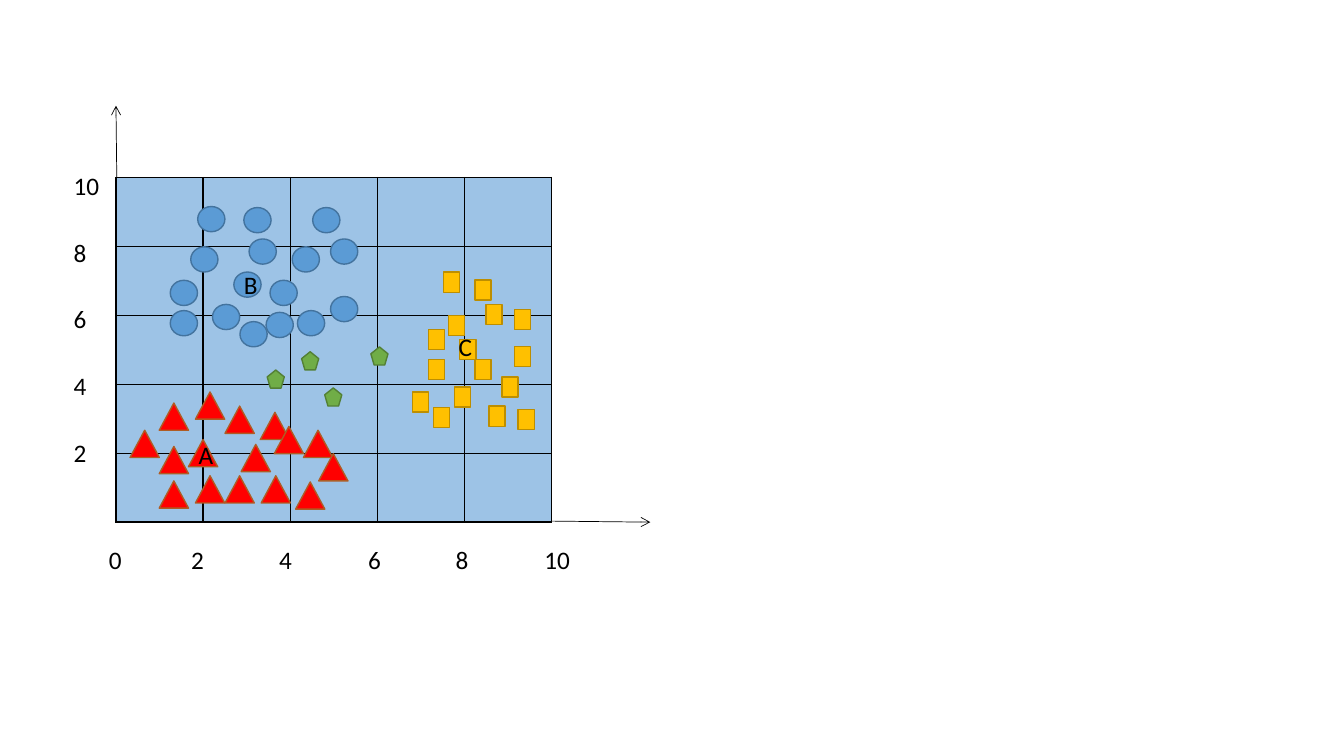
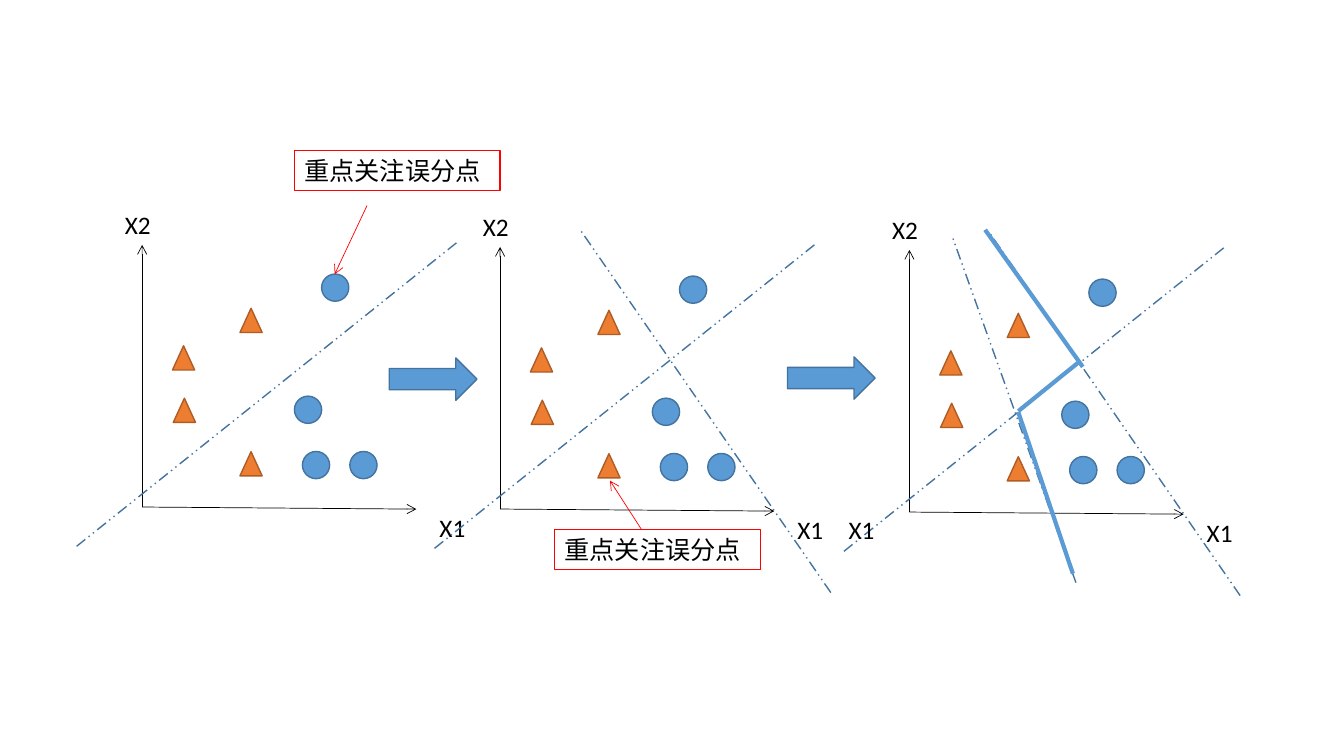
from dataclasses import dataclass

from lxml import etree
from pptx import Presentation
from pptx.dml.color import RGBColor
from pptx.enum.dml import MSO_LINE
from pptx.enum.shapes import MSO_CONNECTOR, MSO_SHAPE
from pptx.enum.text import MSO_ANCHOR, PP_ALIGN
from pptx.oxml.ns import qn
from pptx.util import Inches, Pt

STRAIGHT = MSO_CONNECTOR.STRAIGHT
DASHED = MSO_LINE.DASH_DOT_DOT
TOP = MSO_ANCHOR.TOP
LEFT = PP_ALIGN.LEFT
FONT = "Calibri"
COLORS = {
    "black": "000000", "grid": "9DC3E6", "red": "FF0000",
    "blue": "5B9BD5", "blue_edge": "43739E",
    "orange": "ED7D31", "orange_edge": "AF5C24",
    "gold": "FFC000", "gold_edge": "BD8E00",
    "green": "70AD47", "green_edge": "538035",
}
MARKERS = {
    "circle": (MSO_SHAPE.OVAL, 0.27, 0.25, "blue", "blue_edge"),
    "red triangle": (MSO_SHAPE.ISOSCELES_TRIANGLE, 0.29, 0.27, "red", "orange_edge"),
    "square": (MSO_SHAPE.RECTANGLE, 0.16, 0.2, "gold", "gold_edge"),
    "pentagon": (MSO_SHAPE.REGULAR_PENTAGON, 0.17, 0.18, "green", "green_edge"),
    "round dot": (MSO_SHAPE.OVAL, 0.27, 0.27, "blue", "blue_edge"),
    "orange triangle": (MSO_SHAPE.ISOSCELES_TRIANGLE, 0.22, 0.24, "orange", "orange_edge"),
    "step arrow": (MSO_SHAPE.RIGHT_ARROW, 0.87, 0.42, "blue", "blue_edge"),
    "callout": (MSO_SHAPE.RECTANGLE, 2.04, 0.4, None, "red"),
}
CLUSTERS = {
    "circle": [
        (3.02, 6.89), (3.25, 8.76), (3.85, 6.65), (3.16, 5.45),
        (2.53, 5.95), (1.56, 5.77), (4.36, 7.62), (2.03, 7.62),
        (3.76, 5.72), (4.48, 5.77), (1.56, 6.65), (5.24, 6.18),
        (2.19, 8.79), (3.37, 7.85), (5.24, 7.85), (4.83, 8.76)],
    "red triangle": [
        (2, 2), (2.84, 0.95), (1.33, 0.8), (3.65, 2.79),
        (2.84, 2.97), (1.33, 1.8), (3.21, 1.86), (1.33, 3.06),
        (3.97, 2.38), (3.67, 0.95), (4.64, 2.27), (0.66, 2.27),
        (4.46, 0.77), (2.16, 0.95), (4.99, 1.59), (2.16, 3.38)],
    "square": [
        (8.08, 5), (7.71, 6.96), (8.68, 6.02), (8.43, 4.42),
        (9.33, 4.8), (7.36, 4.42), (9.33, 5.88), (7.96, 3.63),
        (8.75, 3.07), (7.82, 5.7), (8.43, 6.73), (9.05, 3.92),
        (7.36, 5.29), (9.42, 2.98), (7.48, 3.04), (6.99, 3.48)],
    "pentagon": [(3.67, 4.15), (4.46, 4.68), (4.99, 3.63), (6.05, 4.82)],
}
SAMPLES = {
    "orange triangle": [(1.54, 3.69), (1.51, 5.69), (3.97, 1.65), (3.97, 7.12)],
    "round dot": [(7.04, 8.37), (8.07, 1.6), (6.05, 3.71), (6.34, 1.6)],
}
SPLITS = [
    ((-2.39, -1.5), (11.51, 10.12)),
    ((12.06, -3.19), (2.9, 10.69)),
    ((6.07, -2.69), (1.58, 10.46)),
]
BOUNDARY = [
    ((2.76, 10.77), (6.32, 5.54)),
    ((3.97, 3.85), (6.14, 5.69)),
    ((3.97, 3.81), (5.96, -2.35)),
]


def color(name):
    return RGBColor.from_string(COLORS[name])


def write(box, text):
    frame = box.text_frame
    frame.word_wrap = True
    frame.vertical_anchor = TOP
    para = frame.paragraphs[0]
    para.text = text
    para.alignment = LEFT
    para.font.name = FONT
    para.font.size = Pt(18)
    para.font.color.rgb = color("black")


@dataclass
class Plane:
    page: object
    left: float
    top: float
    width: float
    height: float

    def at(self, x, y):
        return (Inches(self.left + x * self.width / 10),
                Inches(self.top + (10 - y) * self.height / 10))

    def marker(self, kind, spot, weight=1):
        preset, width, height, fill, edge = MARKERS[kind]
        wide, high = Inches(width), Inches(height)
        x, y = self.at(*spot)
        shape = self.page.shapes.add_shape(preset, x - wide // 2, y - high // 2, wide, high)
        shape.shadow.inherit = False
        if fill:
            shape.fill.solid()
            shape.fill.fore_color.rgb = color(fill)
        else:
            shape.fill.background()
        shape.line.color.rgb = color(edge)
        shape.line.width = Pt(weight)
        return shape

    def markers(self, groups):
        for kind, spots in groups.items():
            for spot in spots:
                self.marker(kind, spot)

    def label(self, text, spot, width=0.6):
        box = self.page.shapes.add_textbox(*self.at(*spot), Inches(width), Inches(0.4))
        write(box, text)

    def line(self, start, end, name="black", weight=0.5, dash=None, arrow=False):
        connector = self.page.shapes.add_connector(STRAIGHT, *self.at(*start), *self.at(*end))
        connector.line.color.rgb = color(name)
        connector.line.width = Pt(weight)
        if dash:
            connector.line.dash_style = dash
        properties = connector._element.spPr
        if arrow:
            etree.SubElement(properties.find(qn("a:ln")), qn("a:tailEnd"), type="arrow")
        etree.SubElement(properties, qn("a:effectLst"))

    def callout(self, text, spot, start, end):
        self.line(start, end, "red", arrow=True)
        write(self.marker("callout", spot, 0.75), text)


def draw_cell(cell):
    properties = cell._tc.get_or_add_tcPr()
    for side in ("a:lnL", "a:lnR", "a:lnT", "a:lnB"):
        border = etree.SubElement(properties, qn(side), w=str(Pt(1)))
        fill = etree.SubElement(border, qn("a:solidFill"))
        etree.SubElement(fill, qn("a:srgbClr"), val=COLORS["black"])
    cell.fill.solid()
    cell.fill.fore_color.rgb = color("grid")


def draw_grid(plane, count=5):
    table = plane.page.shapes.add_table(
        count, count, *plane.at(0, 10), Inches(plane.width), Inches(plane.height)).table
    table.first_row = False
    table.horz_banding = False
    for cell in table.iter_cells():
        draw_cell(cell)


def draw_clusters(page):
    plane = Plane(page, 1.15, 1.76, 4.32, 3.42)
    draw_grid(plane)
    plane.line((10, 0.03), (12.27, 0), arrow=True)
    plane.line((0.02, 10), (0, 12.08), arrow=True)
    for index, x in enumerate((-0.39, 1.5, 3.52, 5.56, 7.57, 9.61)):
        plane.label(str(2 * index), (x, -0.5))
    for index in range(5):
        plane.label(str(2 * index + 2), (-1.2, 2.6 + 1.94 * index))
    plane.markers(CLUSTERS)
    for name, spot in (("A", (1.67, 2.54)), ("B", (2.71, 7.49)), ("C", (7.64, 5.67))):
        plane.label(name, spot, 0.35)


def draw_panel(page, left, top, split_count):
    panel = Plane(page, left, top, 2.72, 2.6)
    panel.line((0, 0), (0, 10), arrow=True)
    panel.line((0, 0), (10, -0.08), arrow=True)
    panel.markers(SAMPLES)
    panel.label("X1", (10.48, 0), 0.93)
    panel.label("X2", (-0.99, 11.54), 0.93)
    for start, end in SPLITS[:split_count]:
        panel.line(start, end, "blue_edge", 1, DASHED)
    return panel


def draw_boosting(page):
    corners = ((1.41, 2.43), (4.96, 2.45), (9.02, 2.48))
    first, second, third = [
        draw_panel(page, left, top, index + 1)
        for index, (left, top) in enumerate(corners)]
    second.label("X1", (12.35, 0), 0.93)
    for start, end in BOUNDARY:
        third.line(start, end, "blue", 3)
    note = "重点关注误分点"
    first.callout(note, (9.3, 12.85), (8.2, 11.5), (7.02, 8.88))
    second.callout(note, (5.74, -1.54), (5.15, -0.77), (4.01, 1.08))
    first.marker("step arrow", (10.61, 4.88))
    second.marker("step arrow", (12.08, 5))


def main():
    deck = Presentation()
    deck.slide_width = Inches(13.33)
    deck.slide_height = Inches(7.5)
    for draw in (draw_clusters, draw_boosting):
        draw(deck.slides.add_slide(deck.slide_layouts[6]))
    deck.save("out.pptx")


if __name__ == "__main__":
    main()
